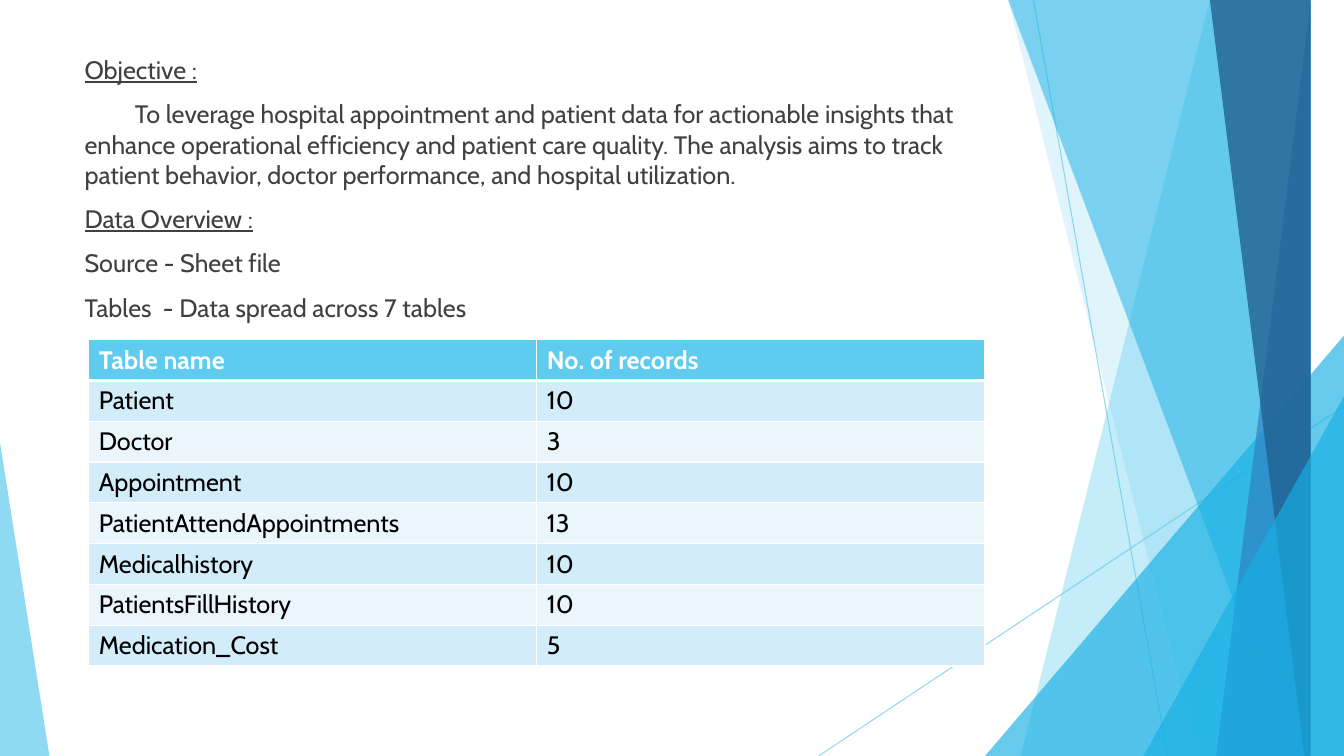
from lxml import etree
from pptx import Presentation
from pptx import util as u
from pptx.dml.color import RGBColor
from pptx.enum import shapes, text
from pptx.oxml import ns

SKY, AZURE, BLUE, NAVY = "5FCBEF", "17B0E4", "2E83C3", "226292"
WHITE, BLACK, GRAY = "FFFFFF", "000000", "404040"
BANDS = ("D2ECF9", "EAF6FC")
TOP, BOTTOM, RIGHT = -0.01, 7.5, 13.33

RAYS = [((10.25, 0), (11.58, BOTTOM)), ((RIGHT, 4.03), (8.12, BOTTOM))]

FACETS = [
    ("band", 12.28, 10.04, SKY, 36),
    ("band", 10.5, 11.83, SKY, 20),
    ("triangle", 9.77, 3.33, RIGHT - 9.77, 1, AZURE, 66),
    ("band", 10.21, 12.91, AZURE, 50),
    ("band", 13.03, 11.92, BLUE, 70),
    ("band", 11.96, 13.18, NAVY, 80),
    ("triangle", 11.34, 3.93, RIGHT - 11.34, 1, AZURE, 66),
    ("triangle", 0, 4.39, 0.49, 0, SKY, 70),
]

OVERVIEW = [
    ("Objective :", True),
    ("\tTo leverage hospital appointment and patient data for actionable insights "
     "that enhance operational efficiency and patient care quality. The analysis aims "
     "to track patient behavior, doctor performance, and hospital utilization.", False),
    ("Data Overview :", True),
    ("Source - Sheet file", False),
    ("Tables  - Data spread across 7 tables", False),
]

RECORDS = [
    ("Table name", "No. of records"),
    ("Patient", "10"),
    ("Doctor", "3"),
    ("Appointment", "10"),
    ("PatientAttendAppointments", "13"),
    ("Medicalhistory", "10"),
    ("PatientsFillHistory", "10"),
    ("Medication_Cost", "5"),
]


def color(value):
    return RGBColor.from_string(value)


def child(parent, tag, **attributes):
    return etree.SubElement(parent, ns.qn(tag), attributes)


class SlideBuilder:
    font, size = "Cabin", 18

    def __init__(self, page):
        self.page = page

    def paint(self, fill, element, value, opacity):
        fill.solid()
        fill.fore_color.rgb = color(value)
        for tint in element.iter(ns.qn("a:srgbClr")):
            child(tint, "a:alpha", val=str(opacity * 1000))

    def ray(self, start, end):
        points = [u.Inches(value) for value in (*start, *end)]
        line = self.page.shapes.add_connector(shapes.MSO_CONNECTOR.STRAIGHT, *points)
        line.line.width = u.Pt(0.75)
        self.paint(line.line.fill, line._element.spPr, SKY, 70)
        child(line._element.spPr, "a:effectLst")

    def finish(self, shape, value, opacity):
        shape.shadow.inherit = False
        shape.line.fill.background()
        self.paint(shape.fill, shape._element.spPr, value, opacity)

    def band(self, upper, lower, value, opacity):
        outline = self.page.shapes.build_freeform(upper, TOP, scale=u.Inches(1))
        outline.add_line_segments([(RIGHT, TOP), (RIGHT, BOTTOM), (lower, BOTTOM)])
        self.finish(outline.convert_to_shape(), value, opacity)

    def triangle(self, left, top, width, peak, value, opacity):
        shape = self.page.shapes.add_shape(
            shapes.MSO_SHAPE.ISOSCELES_TRIANGLE, u.Inches(left), u.Inches(top),
            u.Inches(width), u.Inches(BOTTOM - top))
        shape.adjustments[0] = peak
        self.finish(shape, value, opacity)

    def add_span(self, para, words, value, bold=False, underline=False):
        span = para.add_run()
        span.text = words
        span.font.name = self.font
        span.font.size = u.Pt(self.size)
        span.font.bold = bold
        span.font.underline = underline
        span.font.color.rgb = color(value)

    def body(self, left, top, width, height, lines):
        box = self.page.shapes.add_textbox(*map(u.Inches, (left, top, width, height)))
        frame = box.text_frame
        frame.word_wrap = True
        frame.vertical_anchor = text.MSO_ANCHOR.TOP
        for index, (words, underline) in enumerate(lines):
            para = frame.add_paragraph() if index else frame.paragraphs[0]
            if words.startswith("\t"):
                stops = child(para._p.get_or_add_pPr(), "a:tabLst")
                child(stops, "a:tab", pos=str(u.Inches(0.5)), algn="l")
            para.space_before = u.Pt(10 if index else 0)
            self.add_span(para, words, GRAY, underline=underline)

    def borders(self, cell, widths):
        properties = cell._tc.get_or_add_tcPr()
        for side, width in zip("LRTB", widths):
            edge = child(properties, f"a:ln{side}", w=str(u.Pt(width)))
            child(child(edge, "a:solidFill"), "a:srgbClr", val=WHITE)

    def table(self, left, top, width, height, rows):
        grid = self.page.shapes.add_table(
            len(rows), len(rows[0]), *map(u.Inches, (left, top, width, height))).table
        for row, values in enumerate(rows):
            header = row == 0
            for column, words in enumerate(values):
                cell = grid.cell(row, column)
                self.borders(cell, (1, 1, 3 if row == 1 else 1, 3 if header else 1))
                cell.fill.solid()
                cell.fill.fore_color.rgb = color(SKY if header else BANDS[(row - 1) % 2])
                self.add_span(cell.text_frame.paragraphs[0], words,
                              WHITE if header else BLACK, bold=header)


def main():
    deck = Presentation()
    deck.slide_width, deck.slide_height = u.Inches(RIGHT), u.Inches(BOTTOM)
    builder = SlideBuilder(deck.slides.add_slide(deck.slide_layouts[6]))
    for start, end in RAYS:
        builder.ray(start, end)
    for kind, *details in FACETS:
        draw = builder.band if kind == "band" else builder.triangle
        draw(*details)
    builder.body(0.74, 0.49, 9.4, 6.11, OVERVIEW)
    builder.table(0.88, 3.37, 8.89, 3.24, RECORDS)
    deck.save("out.pptx")


if __name__ == "__main__":
    main()
